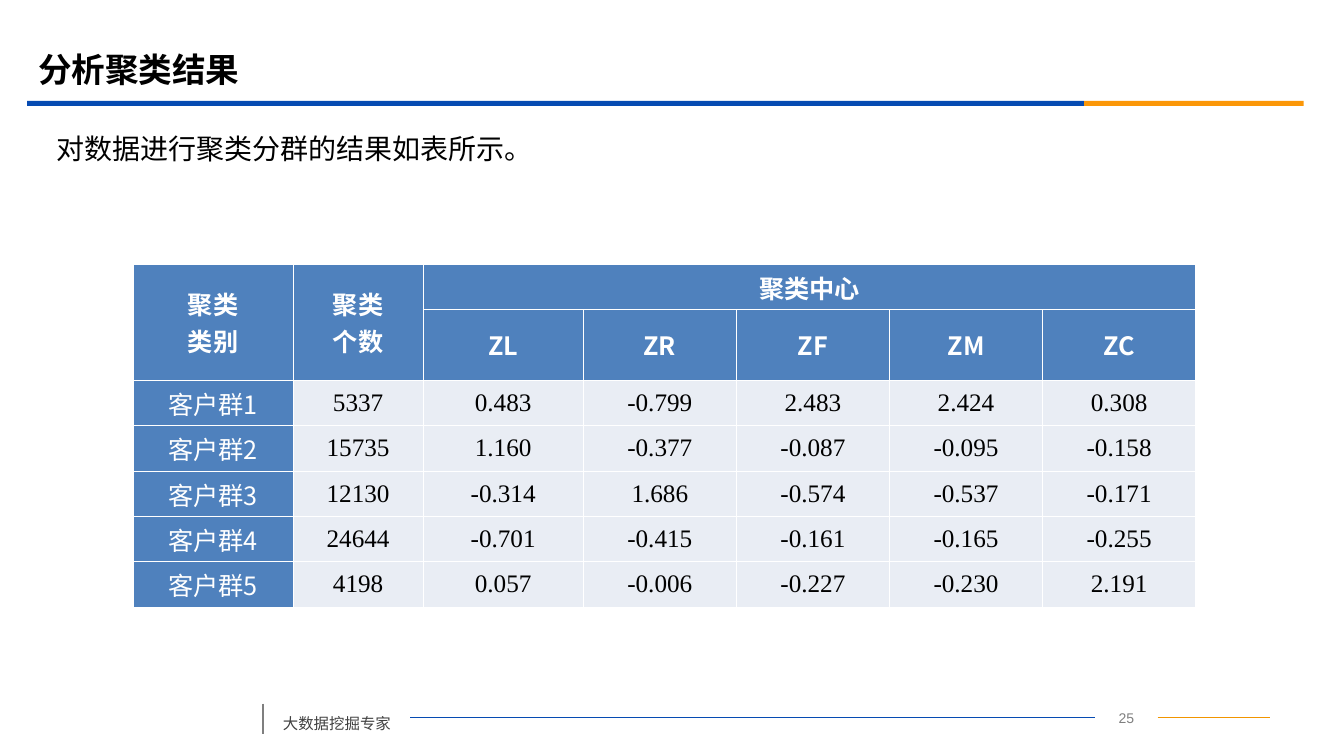
"""Build the cluster analysis results slide."""
from pptx import Presentation
from pptx import util as u
from pptx.dml.color import RGBColor
from pptx.enum import shapes, text
from pptx.oxml import parse_xml
from pptx.oxml.ns import nsdecls, qn

PX = 9144
BLUE = RGBColor(0x06, 0x4B, 0xB2)
ORANGE = RGBColor(0xFB, 0x97, 0x08)
AMBER = RGBColor(0xF1, 0x95, 0x00)
GRAY = RGBColor(0x7F, 0x7F, 0x7F)
DARK = RGBColor(0x40, 0x40, 0x40)
BLACK = RGBColor(0, 0, 0)
WHITE = RGBColor(0xFF, 0xFF, 0xFF)
HEAD = RGBColor(0x4F, 0x81, 0xBD)
BODY = RGBColor(0xE9, 0xED, 0xF4)
CJK, SERIF, SANS = "Noto Sans CJK SC", "Times New Roman", "Arial"
CENTER = text.PP_ALIGN.CENTER
MIDDLE = text.MSO_ANCHOR.MIDDLE

BARS = [((27, 100, 1049, 5), BLUE), ((1076, 100, 218, 5), ORANGE)]
LINES = [
    ((1149, 712, 1261, 712), AMBER, 0.75),
    ((407, 712, 1087, 712), BLUE, 0.75),
    ((261, 698, 261, 728), GRAY, 1.25),
]
TEXTS = [
    ((1087, 699, 62, 25), "25", dict(size=10, font=SANS, color=GRAY, align=CENTER)),
    ((271, 694, 136, 38), "大数据挖掘专家", dict(size=11, color=DARK, before=6, spacing=1.5)),
    ((28, 39, 1200, 58), "分析聚类结果", dict(size=24, bold=True, anchor=MIDDLE)),
    ((46, 124, 1215, 47), "对数据进行聚类分群的结果如表所示。", dict(size=20, before=5, anchor=MIDDLE)),
]
TABLE_AT = (132, 262)
COLS = [159, 129, 159] + [152] * 4
ROWS = [45, 60] + [45] * 5
MERGES = [(0, 0, 1, 0), (0, 1, 1, 1), (0, 2, 0, 6)]
CELLS = [
    ["聚类\n类别", "聚类\n个数", "聚类中心", "", "", "", ""],
    ["", "", "ZL", "ZR", "ZF", "ZM", "ZC"],
    ["客户群1", "5337", "0.483", "-0.799", "2.483", "2.424", "0.308"],
    ["客户群2", "15735", "1.160", "-0.377", "-0.087", "-0.095", "-0.158"],
    ["客户群3", "12130", "-0.314", "1.686", "-0.574", "-0.537", "-0.171"],
    ["客户群4", "24644", "-0.701", "-0.415", "-0.161", "-0.165", "-0.255"],
    ["客户群5", "4198", "0.057", "-0.006", "-0.227", "-0.230", "2.191"],
]


def emu(values):
    return [v * PX for v in values]


def write(tf, content, size=18, font=CJK, color=BLACK, bold=False, align=None,
          before=0, spacing=None, anchor=text.MSO_ANCHOR.TOP):
    tf.word_wrap = True
    tf.vertical_anchor = anchor
    for i, line in enumerate(content.split("\n")):
        p = tf.add_paragraph() if i else tf.paragraphs[0]
        p.alignment, p.space_before, p.line_spacing = align, u.Pt(before), spacing
        r = p.add_run()
        r.text = line
        f = r.font
        f.size, f.name, f.bold, f.color.rgb = u.Pt(size), font, bold, color
        ea = r._r.get_or_add_rPr().makeelement(qn("a:ea"), {"typeface": font})
        f._element.find(qn("a:latin")).addnext(ea)


def set_borders(cell):
    pr = cell._tc.get_or_add_tcPr()
    for i, side in enumerate(("lnL", "lnR", "lnT", "lnB")):
        pr.insert(i, parse_xml(
            f'<a:{side} {nsdecls("a")} w="{u.Pt(0.45)}"><a:solidFill>'
            f'<a:srgbClr val="{WHITE}"/></a:solidFill></a:{side}>'))


def add_table(s):
    size = sum(COLS), sum(ROWS)
    frame = s.shapes.add_table(len(ROWS), len(COLS), *emu(TABLE_AT + size))
    tbl = frame.table
    for col, width in zip(tbl.columns, COLS):
        col.width = width * PX
    for row, height in zip(tbl.rows, ROWS):
        row.height = height * PX
    for top, left, bottom, right in MERGES:
        tbl.cell(top, left).merge(tbl.cell(bottom, right))
    for i, values in enumerate(CELLS):
        for j, value in enumerate(values):
            cell = tbl.cell(i, j)
            is_head = i < 2 or j == 0
            cell.fill.solid()
            cell.fill.fore_color.rgb = HEAD if is_head else BODY
            cell.margin_left = cell.margin_right = 8 * PX
            cell.margin_top = cell.margin_bottom = 5 * PX
            cell.vertical_anchor = MIDDLE
            set_borders(cell)
            if value:
                write(cell.text_frame, value, bold=i < 2, align=CENTER, anchor=MIDDLE,
                      font=CJK if is_head else SERIF, color=WHITE if is_head else BLACK)


def main():
    prs = Presentation()
    prs.slide_width, prs.slide_height = emu((1334, 750))
    s = prs.slides.add_slide(prs.slide_layouts[6])
    for box, color in BARS:
        sp = s.shapes.add_shape(shapes.MSO_SHAPE.RECTANGLE, *emu(box))
        sp.shadow.inherit = False
        sp.fill.solid()
        sp.fill.fore_color.rgb = color
        sp.line.fill.background()
    for ends, color, width in LINES:
        cxn = s.shapes.add_connector(shapes.MSO_CONNECTOR.STRAIGHT, *emu(ends))
        cxn.line.color.rgb, cxn.line.width = color, u.Pt(width)
        cxn._element.spPr.append(parse_xml(f'<a:effectLst {nsdecls("a")}/>'))
    for box, content, fmt in TEXTS:
        write(s.shapes.add_textbox(*emu(box)).text_frame, content, **fmt)
    add_table(s)
    prs.save("out.pptx")


if __name__ == "__main__":
    main()
